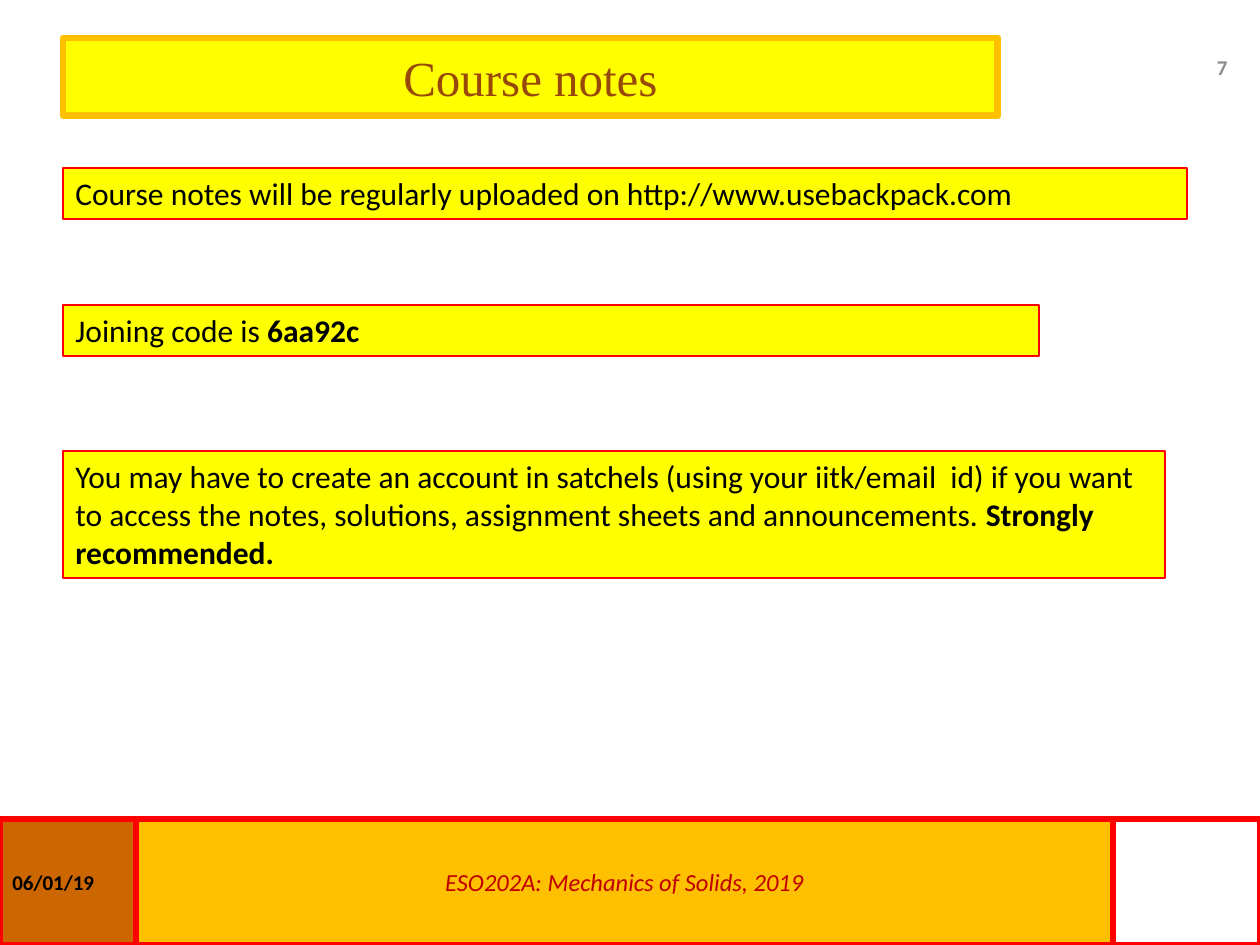
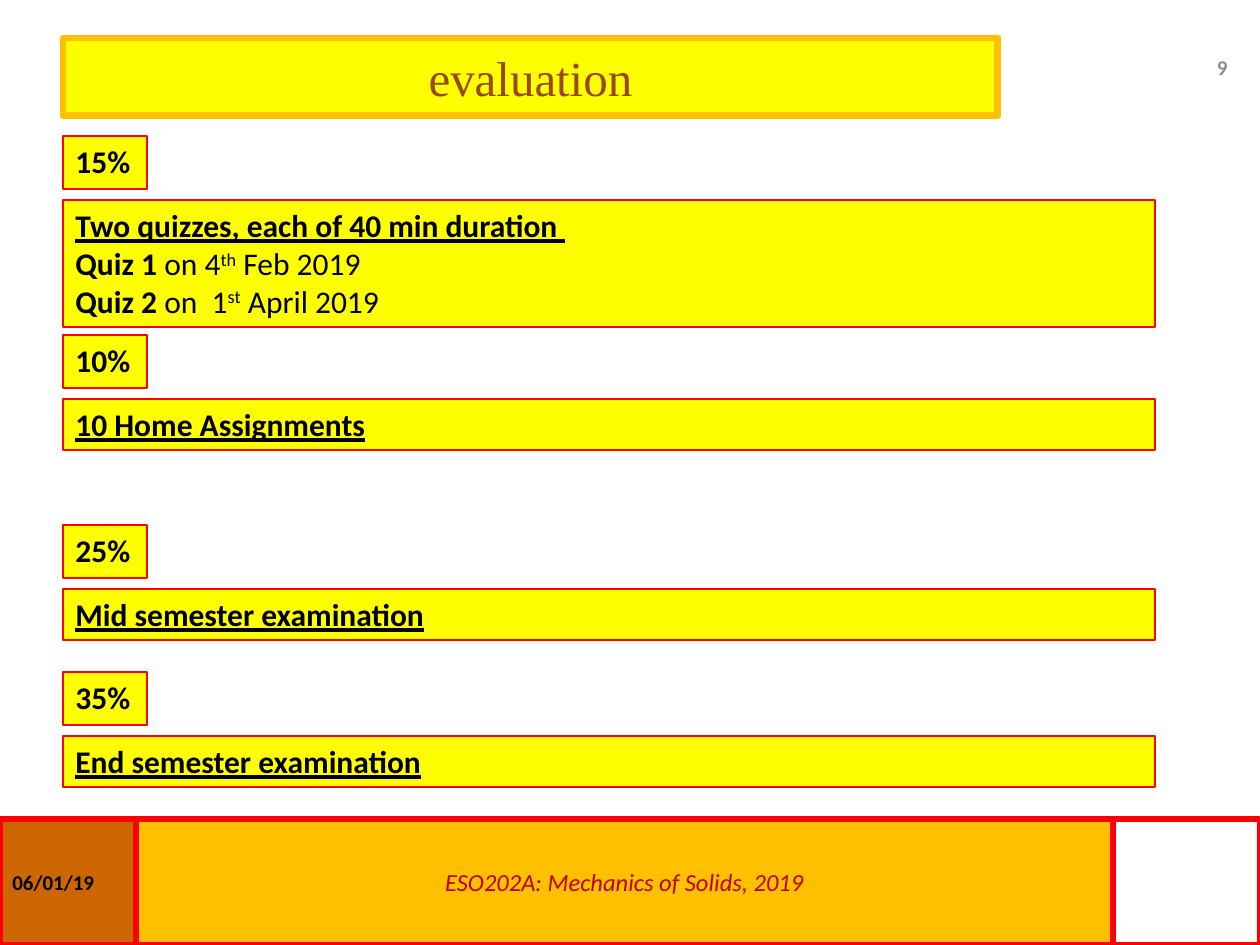
"""Builds the course notes and evaluation slides of a mechanics course."""
from pptx import Presentation
from pptx.dml.color import RGBColor
from pptx.enum.shapes import MSO_SHAPE
from pptx.enum.text import MSO_ANCHOR, MSO_AUTO_SIZE, PP_ALIGN
from pptx.util import Emu, Pt

EMU_PER_PX = 914400 / 126
COLORS = {
    "yellow": "FFFF00", "gold": "FFC000", "orange": "CC6600", "red": "FF0000",
    "brown": "984807", "crimson": "C00000", "gray": "8C8C8C", "black": "000000",
}
LEFT = 63


def format_box(box, bounds, fill=None, line=None, width=0.75, paras=(), size=18,
               color="black", font="Calibri", bold=None, italic=None,
               align=PP_ALIGN.LEFT, anchor=MSO_ANCHOR.MIDDLE, grow=False):
    box.left, box.top, box.width, box.height = (Emu(round(px * EMU_PER_PX)) for px in bounds)
    if fill:
        box.fill.solid()
        box.fill.fore_color.rgb = RGBColor.from_string(COLORS[fill])
    else:
        box.fill.background()
    if line:
        box.line.color.rgb = RGBColor.from_string(COLORS[line])
        box.line.width = Pt(width)
    frame = box.text_frame
    frame.word_wrap = True
    frame.vertical_anchor = anchor
    frame.auto_size = MSO_AUTO_SIZE.SHAPE_TO_FIT_TEXT if grow else MSO_AUTO_SIZE.NONE
    for index, spans in enumerate(paras):
        para = frame.add_paragraph() if index else frame.paragraphs[0]
        para.alignment = align
        para.font.size = Pt(size)
        para.font.name = font
        para.font.bold = bold
        para.font.italic = italic
        para.font.color.rgb = RGBColor.from_string(COLORS[color])
        for text, marks in spans:
            span = para.add_run()
            span.text = text
            if "bold" in marks:
                span.font.bold = True
            if "underline" in marks:
                span.font.underline = True
            if "super" in marks:
                span.font._element.set("baseline", "30000")


def add_box(page, bounds, **style):
    box = page.shapes.add_shape(MSO_SHAPE.RECTANGLE, 0, 0, 0, 0)
    box.shadow.inherit = False
    format_box(box, bounds, **style)


NOTE = {"fill": "yellow", "line": "red", "anchor": MSO_ANCHOR.TOP, "grow": True}
BAND = {"line": "red", "width": 3}

deck = Presentation()
deck.slide_width = Emu(round(1260 * EMU_PER_PX))
deck.slide_height = Emu(round(945 * EMU_PER_PX))

pages = []
for title, number in (("Course notes", "7"), ("evaluation", "9")):
    page = deck.slides.add_slide(deck.slide_layouts[5])
    pages.append(page)
    format_box(page.shapes.title, (LEFT, 38, 935, 78), fill="yellow", line="gold", width=4,
               paras=[[(title, "")]], size=28, color="brown", font="Times New Roman",
               align=PP_ALIGN.CENTER)
    add_box(page, (1113, 819, 147, 126), **BAND)
    add_box(page, (0, 819, 136, 126), fill="orange", paras=[[("06/01/19", "")]],
            size=12, bold=True, **BAND)
    add_box(page, (136, 819, 977, 126), fill="gold",
            paras=[[("ESO202A: Mechanics of Solids, 2019", "")]],
            size=14, color="crimson", italic=True, align=PP_ALIGN.CENTER, **BAND)
    number_box = page.shapes.add_textbox(0, 0, 0, 0)
    format_box(number_box, (1124, 42, 116, 50), paras=[[(number, "")]], size=12,
               color="gray", bold=True, align=PP_ALIGN.RIGHT)

notes_page, evaluation_page = pages

notes = [
    (168, 1124, 51, [("Course notes will be regularly uploaded on http://www.usebackpack.com", "")]),
    (305, 976, 51, [("Joining code is ", ""), ("6aa92c", "bold")]),
    (451, 1102, 127, [
        ("You may have to create an account in satchels (using your iitk/email  id) if you want "
         "to access the notes, solutions, assignment sheets and announcements. ", ""),
        ("Strongly recommended.", "bold")]),
]
for top, width, height, spans in notes:
    add_box(notes_page, (LEFT, top, width, height), paras=[spans], **NOTE)

HEADING = "bold underline"
components = [
    (136, "15%", 127, [
        [("Two quizzes, each of 40 min duration ", HEADING)],
        [("Quiz 1", "bold"), (" on 4", ""), ("th", "super"), (" Feb 2019", "")],
        [("Quiz 2", "bold"), (" on  1", ""), ("st", "super"), (" April 2019", "")]]),
    (335, "10%", 51, [[("10 Home Assignments", HEADING)]]),
    (525, "25%", 51, [[("Mid semester examination", HEADING)]]),
    (672, "35%", 51, [[("End semester examination", HEADING)]]),
]
for top, weight, height, paras in components:
    add_box(evaluation_page, (LEFT, top, 84, 53), paras=[[(weight, "bold")]], **NOTE)
    add_box(evaluation_page, (LEFT, top + 64, 1092, height), paras=paras, **NOTE)

deck.save("out.pptx")
